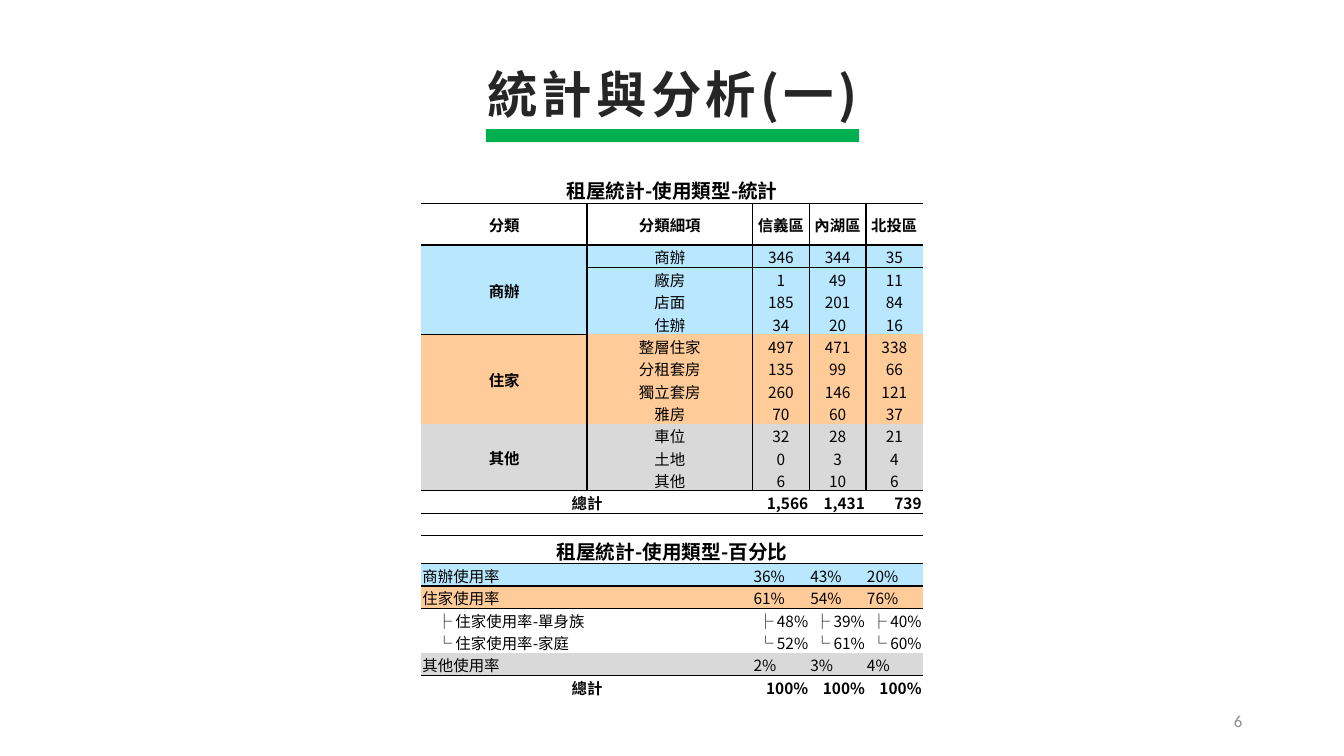
from lxml import etree
from pptx import Presentation
from pptx import util as u
from pptx.dml.color import RGBColor
from pptx.enum import shapes, text
from pptx.oxml.ns import qn

INK = RGBColor(0x26, 0x26, 0x26)
BLACK = RGBColor(0x00, 0x00, 0x00)
MUTED = RGBColor(0x8C, 0x8C, 0x8C)
GREEN = RGBColor(0x00, 0xB0, 0x50)
BLUE = RGBColor(0xB9, 0xE7, 0xFD)
ORANGE = RGBColor(0xFF, 0xCC, 0x99)
GRAY = RGBColor(0xD9, 0xD9, 0xD9)
LEFT, CENTER, RIGHT = text.PP_ALIGN.LEFT, text.PP_ALIGN.CENTER, text.PP_ALIGN.RIGHT
MIDDLE = text.MSO_ANCHOR.MIDDLE
CJK = "Noto Sans CJK SC"
PLAIN_TABLE = "{2D5ABB26-0587-4C30-8999-92F81FD0307C}"

USES = [
    ("商辦", BLUE, [("商辦", 346, 344, 35), ("廠房", 1, 49, 11),
                  ("店面", 185, 201, 84), ("住辦", 34, 20, 16)]),
    ("住家", ORANGE, [("整層住家", 497, 471, 338), ("分租套房", 135, 99, 66),
                    ("獨立套房", 260, 146, 121), ("雅房", 70, 60, 37)]),
    ("其他", GRAY, [("車位", 32, 28, 21), ("土地", 0, 3, 4), ("其他", 6, 10, 6)]),
]
RATES = [
    ("商辦使用率", BLUE, ("36%", "43%", "20%")),
    ("住家使用率", ORANGE, ("61%", "54%", "76%")),
    ("├ 住家使用率-單身族", None, ("├ 48%", "├ 39%", "├ 40%")),
    ("└ 住家使用率-家庭", None, ("└ 52%", "└ 61%", "└ 60%")),
    ("其他使用率", GRAY, ("2%", "3%", "4%")),
]


class Deck:
    def __init__(self):
        self.prs = Presentation()
        self.prs.slide_width, self.prs.slide_height = u.Inches(13.33), u.Inches(7.5)
        self.slide = self.prs.slides.add_slide(self.prs.slide_layouts[5])

    def x(self, percent):
        return round(self.prs.slide_width * percent / 100)

    def y(self, percent):
        return round(self.prs.slide_height * percent / 100)

    def box(self, left, top, width, height):
        return self.x(left), self.y(top), self.x(width), self.y(height)

    def label(self, tf, content, size, color=BLACK, bold=False, align=CENTER, name=CJK):
        p = tf.paragraphs[0]
        p.text, p.alignment = content, align
        font = p.font
        font.size, font.bold, font.name = u.Pt(size), bold, name
        font.color.rgb = color
        props = p._p.pPr.find(qn("a:defRPr"))
        etree.SubElement(props, qn("a:ea")).set("typeface", name)
        return p

    def title(self, content, *area):
        sp = self.slide.shapes.title
        sp.left, sp.top, sp.width, sp.height = self.box(*area)
        tf = sp.text_frame
        tf.vertical_anchor = MIDDLE
        p = self.label(tf, content, 36, INK, True)
        p._p.pPr.find(qn("a:defRPr")).set("spc", "300")

    def number(self, content, *area):
        tf = self.slide.shapes.add_textbox(*self.box(*area)).text_frame
        tf.word_wrap, tf.vertical_anchor = True, MIDDLE
        self.label(tf, content, 12, MUTED, align=RIGHT, name="Calibri")

    def bar(self, color, *area):
        sp = self.slide.shapes.add_shape(shapes.MSO_SHAPE.RECTANGLE, *self.box(*area))
        sp.shadow.inherit = False
        sp.fill.solid()
        sp.fill.fore_color.rgb = color
        sp.line.fill.background()

    def table(self, left, top, widths, heights):
        frame = self.slide.shapes.add_table(
            len(heights), len(widths), *self.box(left, top, sum(widths), sum(heights)))
        table = frame.table
        table.first_row = table.horz_banding = False
        table._tbl.tblPr.find(qn("a:tableStyleId")).text = PLAIN_TABLE
        for column, width in zip(table.columns, widths):
            column.width = self.x(width)
        for row, height in zip(table.rows, heights):
            row.height = self.y(height)
        for cell in table.iter_cells():
            cell.margin_left = cell.margin_right = cell.margin_top = u.Inches(0.01)
            cell.margin_bottom = 0
            cell.vertical_anchor = MIDDLE
            cell.fill.background()
            end = etree.SubElement(cell.text_frame.paragraphs[0]._p, qn("a:endParaRPr"))
            end.set("sz", "1100")
        return table

    def cell(self, table, row, col, content, fill=None, size=11, bold=False,
             align=CENTER, span=(1, 1), indent=0):
        cell = table.cell(row, col)
        if span != (1, 1):
            cell.merge(table.cell(row + span[0] - 1, col + span[1] - 1))
        p = self.label(cell.text_frame, str(content), size, bold=bold, align=align)
        if indent:
            p._p.pPr.set("marL", str(u.Inches(indent)))
            p._p.pPr.set("indent", "0")
        if fill:
            for r in range(row, row + span[0]):
                for c in range(col, col + span[1]):
                    table.cell(r, c).fill.solid()
                    table.cell(r, c).fill.fore_color.rgb = fill

    def rules(self, table, below, beside, ruled_rows):
        for r in range(len(table.rows)):
            for c in range(len(table.columns)):
                cell = table.cell(r, c)
                sides = (
                    ("a:lnL", r in ruled_rows and c - 1 in beside),
                    ("a:lnR", r in ruled_rows and c + cell.span_width - 1 in beside),
                    ("a:lnT", r - 1 in below),
                    ("a:lnB", r + cell.span_height - 1 in below),
                )
                tags = [tag for tag, shown in sides if shown]
                for i, tag in enumerate(tags):
                    ln = etree.Element(qn(tag), w=str(u.Pt(1)))
                    fill = etree.SubElement(ln, qn("a:solidFill"))
                    etree.SubElement(fill, qn("a:srgbClr")).set("val", str(BLACK))
                    cell._tc.get_or_add_tcPr().insert(i, ln)


def fill_counts(deck, table):
    deck.cell(table, 0, 0, "租屋統計-使用類型-統計", size=14, bold=True, span=(1, 5))
    for c, name in enumerate(("分類", "分類細項", "信義區", "內湖區", "北投區")):
        deck.cell(table, 1, c, name, bold=True)
    row = 2
    for group, color, items in USES:
        deck.cell(table, row, 0, group, color, bold=True, span=(len(items), 1))
        for item in items:
            for c, value in enumerate(item, 1):
                deck.cell(table, row, c, value, color)
            row += 1
    fill_total(deck, table, row, ("1,566", "1,431", "739"))


def fill_rates(deck, table, row):
    deck.cell(table, row, 0, "租屋統計-使用類型-百分比", size=14, bold=True, span=(1, 5))
    for row, (name, color, values) in enumerate(RATES, row + 1):
        deck.cell(table, row, 0, name, color, align=LEFT, span=(1, 2),
                  indent=0 if color else 0.14)
        for c, value in enumerate(values, 2):
            deck.cell(table, row, c, value, color, align=LEFT if color else RIGHT)
    fill_total(deck, table, row + 1, ("100%",) * 3)


def fill_total(deck, table, row, values):
    deck.cell(table, row, 0, "總計", bold=True, span=(1, 2))
    for c, value in enumerate(values, 2):
        deck.cell(table, row, c, value, bold=True, align=RIGHT)


def main():
    deck = Deck()
    deck.title("統計與分析(一)", 25.28, 7.6, 49.51, 9.47)
    deck.number("6", 70.67, 92.67, 22.5, 5.33)
    line = 2.96
    heights = [3.87, 5.47] + [line] * 13 + [3.73] + [line] * 6
    table = deck.table(31.36, 23.07, [12.32] * 2 + [4.22] * 3, heights)
    fill_counts(deck, table)
    fill_rates(deck, table, 15)
    deck.rules(table, {0, 1, 12, 13, 15, 16, 20}, {0, 1, 2}, range(1, 13))
    deck.bar(GREEN, 36.16, 17.07, 27.76, 1.73)
    deck.prs.save("out.pptx")


if __name__ == "__main__":
    main()
